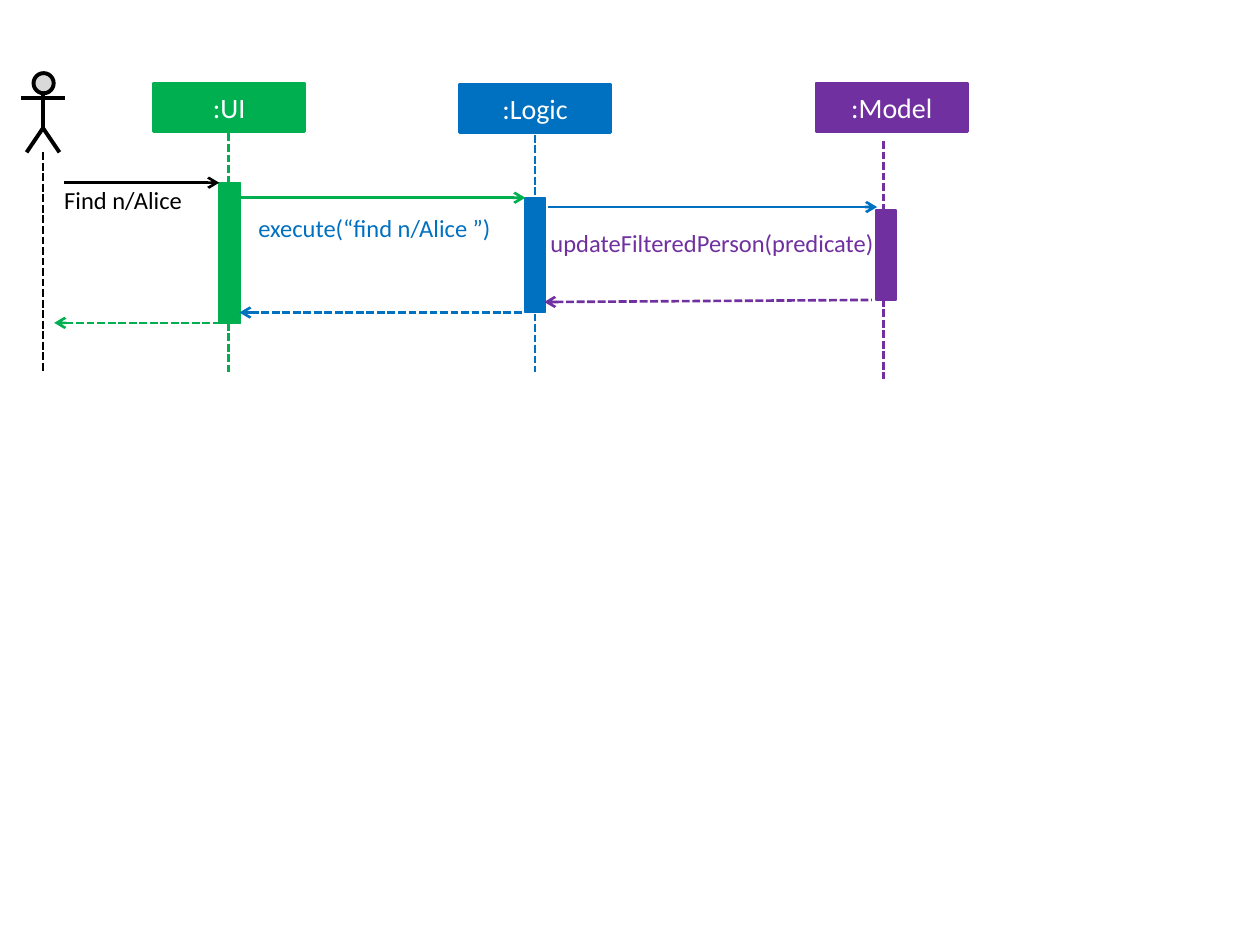
from dataclasses import dataclass
from typing import NamedTuple

import lxml.etree
import pptx
import pptx.dml.color
import pptx.enum.dml
import pptx.enum.shapes
import pptx.enum.text
import pptx.oxml.ns
import pptx.util

Pt = pptx.util.Pt
Preset = pptx.enum.shapes.MSO_SHAPE
qn = pptx.oxml.ns.qn


@dataclass(frozen=True)
class Theme:
    """Colours, font, type sizes and line widths of the diagram."""
    ui: str = "00B050"
    logic: str = "0070C0"
    model: str = "7030A0"
    ink: str = "000000"
    head: str = "D9D9D9"
    paper: str = "FFFFFF"
    font: str = "Calibri"
    name_size: float = 16
    call_size: float = 14
    line: float = 1.5
    thin: float = 0.75
    thick: float = 2.25


THEME = Theme()


class Box(NamedTuple):
    """A rectangle in points."""
    left: float
    top: float
    width: float
    height: float

    def inside(self, parent):
        """Return this box moved from its parent's corner to the slide."""
        return Box(parent.left + self.left, parent.top + self.top, self.width, self.height)

    def lengths(self):
        """Return the four values as lengths."""
        return [Pt(value) for value in self]


def rgb(colour):
    """Return a colour object for a hex string."""
    return pptx.dml.color.RGBColor.from_string(colour)


def stroke(line, colour, width):
    """Set the colour and width of a line."""
    line.color.rgb = rgb(colour)
    line.width = Pt(width)


def write(frame, words, size, colour):
    """Fill a text frame with one styled paragraph and return it."""
    paragraph = frame.paragraphs[0]
    paragraph.text = words
    paragraph.font.name = THEME.font
    paragraph.font.size = Pt(size)
    paragraph.font.color.rgb = rgb(colour)
    return paragraph


def add_block(shapes, preset, box, fill, outline, width):
    """Add a filled preset shape."""
    block = shapes.add_shape(preset, *box.lengths())
    block.shadow.inherit = False
    block.fill.solid()
    block.fill.fore_color.rgb = rgb(fill)
    stroke(block.line, outline, width)
    return block


def add_line(shapes, start, end, colour, width=THEME.line, dashed=False, arrow_end=None):
    """Add a straight line, with an arrow at headEnd or tailEnd if asked."""
    line = shapes.add_connector(
        pptx.enum.shapes.MSO_CONNECTOR.STRAIGHT, *[Pt(value) for value in (*start, *end)])
    stroke(line.line, colour, width)
    if dashed:
        line.line.dash_style = pptx.enum.dml.MSO_LINE.SQUARE_DOT
    if arrow_end:
        lxml.etree.SubElement(line.line._get_or_add_ln(), qn("a:" + arrow_end), type="arrow")
    lxml.etree.SubElement(line._element.spPr, qn("a:effectLst"))


def add_participant(slide, box, name, colour, lifeline, activation):
    """Add a named box with its lifeline and activation bar."""
    header = add_block(slide.shapes, Preset.RECTANGLE, box, colour, colour, THEME.line)
    header.text_frame.vertical_anchor = pptx.enum.text.MSO_ANCHOR.MIDDLE
    title = write(header.text_frame, name, THEME.name_size, THEME.paper)
    title.alignment = pptx.enum.text.PP_ALIGN.CENTER
    x, top, bottom = box.left + lifeline[0], box.top + lifeline[1], box.top + lifeline[2]
    add_line(slide.shapes, (x, top), (x, bottom), colour, dashed=True)
    add_block(slide.shapes, Preset.RECTANGLE, activation.inside(box), colour, colour, THEME.thin)


def add_actor(slide, box, lifeline_bottom):
    """Add the stick figure and the lifeline below it."""
    figure = slide.shapes.add_group_shape().shapes
    middle, bottom = box.left + 12.4, box.top + box.height
    hip, arms = box.top + 31.4, box.top + 14.4
    add_block(figure, Preset.FLOWCHART_CONNECTOR, Box(7, 0, 11.5, 11.5).inside(box),
              THEME.head, THEME.ink, THEME.thick)
    add_line(figure, (middle, box.top + 11.5), (middle, hip), THEME.ink, THEME.thick)
    builder = figure.build_freeform(Pt(middle - 9.4), Pt(bottom))
    builder.add_line_segments(
        [(Pt(middle), Pt(hip)), (Pt(middle + 9.4), Pt(bottom))], close=False)
    legs = builder.convert_to_shape()
    legs.shadow.inherit = False
    legs.fill.background()
    stroke(legs.line, THEME.ink, THEME.thick)
    add_line(figure, (box.left, arms), (box.left + box.width, arms), THEME.ink, THEME.thick)
    add_line(slide.shapes, (middle, bottom), (middle, lifeline_bottom), THEME.ink, dashed=True)


def add_call(slide, box, words, arrow_colour, words_colour, indent, drop):
    """Add a call arrow along the top of its box, with its words below."""
    add_line(slide.shapes, (box.left, box.top), (box.left + box.width, box.top),
             arrow_colour, arrow_end="tailEnd")
    label = slide.shapes.add_textbox(
        Pt(box.left + indent), Pt(box.top + drop), Pt(box.width), Pt(box.height))
    frame = label.text_frame
    frame.word_wrap = True
    frame.auto_size = pptx.enum.text.MSO_AUTO_SIZE.SHAPE_TO_FIT_TEXT
    frame.margin_left = frame.margin_top = frame.margin_right = frame.margin_bottom = 0
    write(frame, words, THEME.call_size, words_colour)


def add_reply(slide, box, colour):
    """Add a dashed reply arrow that points to the lower left of its box."""
    add_line(slide.shapes, (box.left, box.top + box.height), (box.left + box.width, box.top),
             colour, dashed=True, arrow_end="headEnd")


def main():
    """Build the sequence diagram and save it."""
    deck = pptx.Presentation()
    deck.slide_width, deck.slide_height = Pt(720), Pt(540)
    slide = deck.slides.add_slide(deck.slide_layouts[6])

    participants = [
        (Box(87.8, 47.5, 86.4, 27.7), ":UI", THEME.ui,
         (42.7, 28.8, 164.9), Box(37.4, 56.9, 12.2, 80.3)),
        (Box(262.6, 48, 86.4, 27.7), ":Logic", THEME.logic,
         (43.2, 29, 164.4), Box(37.4, 65, 11.5, 65.5)),
        (Box(466.4, 47.5, 86.4, 27.7), ":Model", THEME.model,
         (38.5, 33.1, 169.2), Box(34.2, 72.5, 11.5, 51.4)),
    ]
    for participant in participants:
        add_participant(slide, *participant)
    add_actor(slide, Box(12.2, 41.8, 25.2, 45.3), 212.4)

    calls = [
        (Box(36.7, 104.4, 88.6, 17), "Find n/Alice", THEME.ink, THEME.ink, 0, 1.6),
        (Box(136.8, 113, 163.4, 17), "execute(“find n/Alice ”)", THEME.ui, THEME.logic, 10.8, 8.7),
        (Box(313.2, 118.3, 188, 17), "updateFilteredPerson(predicate)",
         THEME.logic, THEME.model, 1.4, 12),
    ]
    for call in calls:
        add_call(slide, *call)

    replies = [
        (Box(311, 171.4, 187.2, 1.2), THEME.model),
        (Box(136.8, 178.6, 162, 0), THEME.logic),
        (Box(31, 184.5, 94.3, 0), THEME.ui),
    ]
    for reply in replies:
        add_reply(slide, *reply)
    deck.save("out.pptx")


if __name__ == "__main__":
    main()
